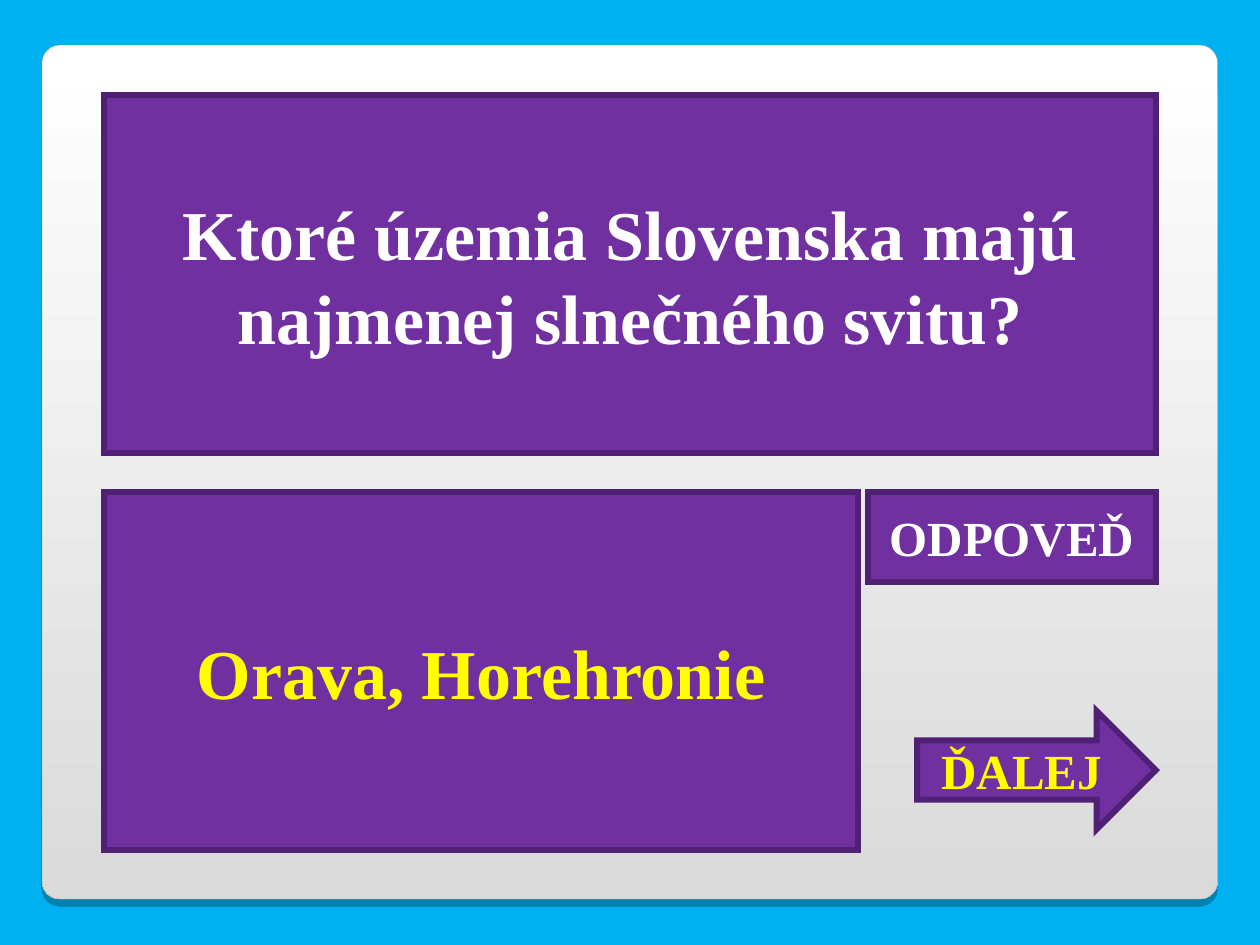
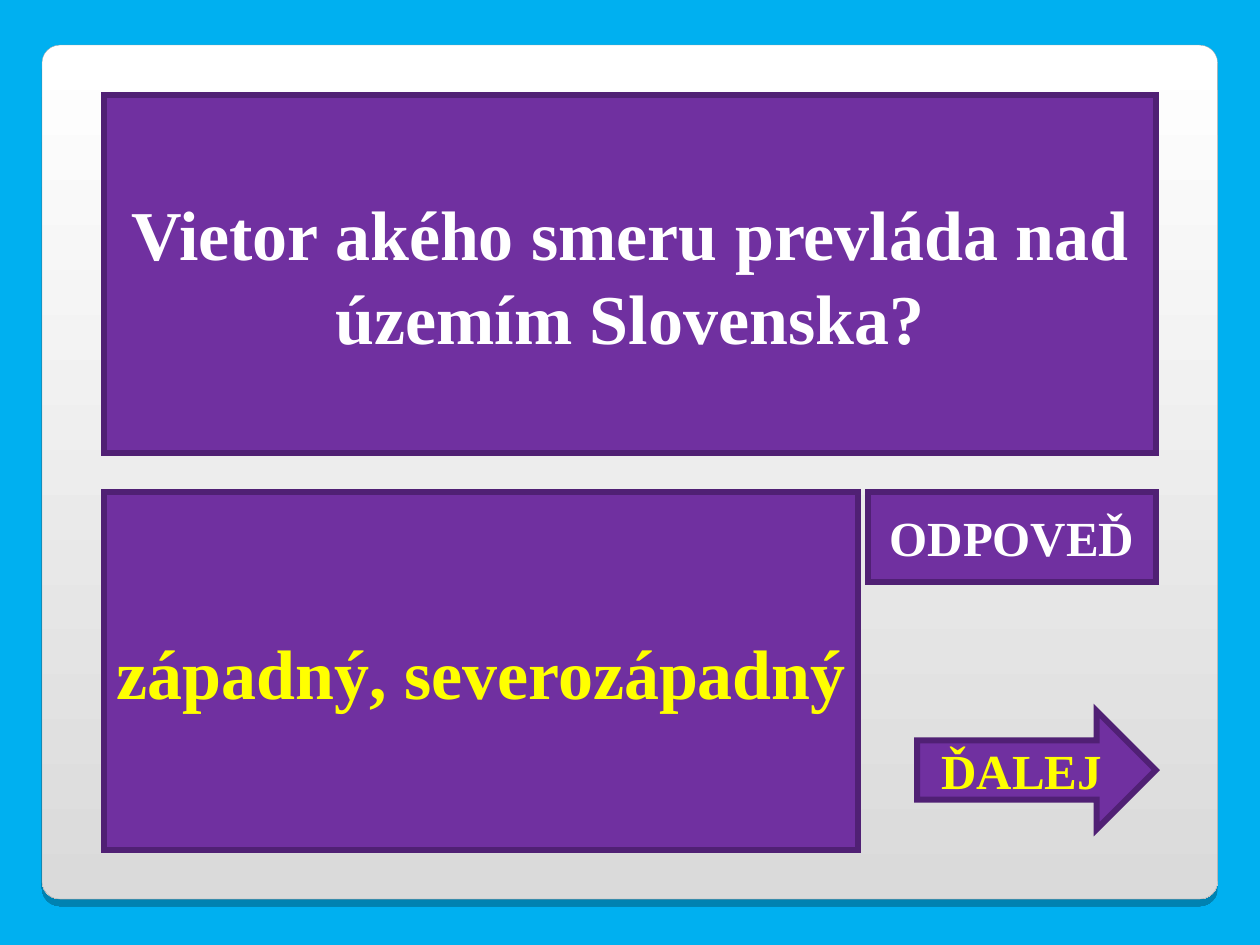
from dataclasses import dataclass

from lxml import etree
from pptx import Presentation
from pptx.dml.color import RGBColor
from pptx.enum.shapes import MSO_SHAPE
from pptx.enum.text import MSO_ANCHOR, MSO_AUTO_SIZE, PP_ALIGN
from pptx.oxml import parse_xml
from pptx.oxml.ns import nsdecls, qn
from pptx.shapes.autoshape import Shape
from pptx.slide import Slide
from pptx.util import Pt

RECTANGLE = MSO_SHAPE.RECTANGLE
ROUNDED = MSO_SHAPE.ROUNDED_RECTANGLE
ARROW = MSO_SHAPE.RIGHT_ARROW
CENTER = PP_ALIGN.CENTER
MIDDLE = MSO_ANCHOR.MIDDLE
NO_AUTOFIT = MSO_AUTO_SIZE.NONE

SKY = RGBColor(0x00, 0xB0, 0xF0)
WHITE = RGBColor(0xFF, 0xFF, 0xFF)
SILVER = RGBColor(0xDA, 0xDA, 0xDA)
GREY = RGBColor(0xA4, 0xA3, 0xA3)
PURPLE = RGBColor(0x70, 0x30, 0xA0)
DARK_PURPLE = RGBColor(0x50, 0x20, 0x74)
YELLOW = RGBColor(0xFF, 0xFF, 0x00)

FONT = "Times New Roman"
TITLE_ONLY = 5
BACKMOST = 2  # first drawable position in a shape tree

LEFT, RIGHT = 59.5, 660.5
QUESTION_TOP, ANSWER_TOP = 54.4, 281.2
BOX_HEIGHT = 204.5


@dataclass(frozen=True)
class Card:
    """A purple box: its place in points and its text style."""
    left: float
    top: float
    width: float
    height: float
    size: int
    color: RGBColor
    preset: MSO_SHAPE = RECTANGLE


@dataclass(frozen=True)
class Quiz:
    question: str
    answer: str


QUESTION = Card(LEFT, QUESTION_TOP, RIGHT - LEFT, BOX_HEIGHT, 40, WHITE)
ANSWER = Card(LEFT, ANSWER_TOP, 430.7, BOX_HEIGHT, 40, YELLOW)
ANSWER_BUTTON = Card(RIGHT - 164.4, ANSWER_TOP, 164.4, 51.3, 28, WHITE)
NEXT_ARROW = Card(RIGHT - 136.4, 406.2, 136.4, 67.7, 28, YELLOW, ARROW)

QUIZZES = [
    Quiz("Ktoré územia Slovenska majú najmenej slnečného svitu?", "Orava, Horehronie"),
    Quiz("Vietor akého smeru prevláda nad územím Slovenska?", "západný, severozápadný"),
]


def format_card(box: Shape, card: Card, text: str) -> None:
    box.left, box.top = Pt(card.left), Pt(card.top)
    box.width, box.height = Pt(card.width), Pt(card.height)
    box.fill.solid()
    box.fill.fore_color.rgb = PURPLE
    box.line.color.rgb = DARK_PURPLE
    box.line.width = Pt(3.34)
    outline = box.element.spPr.find(qn("a:ln"))
    etree.SubElement(outline, qn("a:miter"), lim="800000")

    frame = box.text_frame
    frame.text = text
    frame.word_wrap = True
    frame.auto_size = NO_AUTOFIT
    frame.vertical_anchor = MIDDLE
    frame.margin_left = frame.margin_right = Pt(6)
    frame.margin_top = frame.margin_bottom = Pt(3.6)
    para = frame.paragraphs[0]
    para.alignment = CENTER
    font = para.runs[0].font
    font.name, font.size, font.bold = FONT, Pt(card.size), True
    font.color.rgb = card.color


def add_card(slide: Slide, card: Card, text: str) -> None:
    box = slide.shapes.add_shape(card.preset, 0, 0, Pt(card.width), Pt(card.height))
    box.shadow.inherit = False
    format_card(box, card, text)


def add_panel(slide: Slide) -> None:
    """Draw the rounded panel behind everything else on the slide."""
    panel = slide.shapes.add_shape(ROUNDED, Pt(24), Pt(25.8), Pt(671.8), Pt(488))
    panel.adjustments[0] = 0.021
    panel.fill.gradient()
    panel.fill.gradient_angle = 270
    for stop, color in zip(panel.fill.gradient_stops, (WHITE, SILVER)):
        stop.color.rgb = color
    panel.line.color.rgb = GREY
    panel.line.width = Pt(0.17)
    panel.element.spPr.append(parse_xml(
        f'<a:effectLst {nsdecls("a")}>'
        f'<a:outerShdw blurRad="0" dist="{Pt(4)}" dir="5400000" algn="tl" rotWithShape="0">'
        '<a:srgbClr val="000000"><a:alpha val="25000"/></a:srgbClr>'
        '</a:outerShdw></a:effectLst>'))
    slide.shapes.element.insert(BACKMOST, panel.element)


def add_quiz_slide(slide: Slide, quiz: Quiz) -> None:
    add_panel(slide)
    format_card(slide.shapes.title, QUESTION, quiz.question)
    add_card(slide, ANSWER, quiz.answer)
    add_card(slide, ANSWER_BUTTON, "ODPOVEĎ")
    add_card(slide, NEXT_ARROW, "ĎALEJ")


def main() -> None:
    deck = Presentation()
    deck.slide_width, deck.slide_height = Pt(720), Pt(540)
    background = deck.slide_master.background.fill
    background.solid()
    background.fore_color.rgb = SKY

    layout = deck.slide_layouts[TITLE_ONLY]
    for quiz in QUIZZES:
        add_quiz_slide(deck.slides.add_slide(layout), quiz)
    deck.save("out.pptx")


if __name__ == "__main__":
    main()
